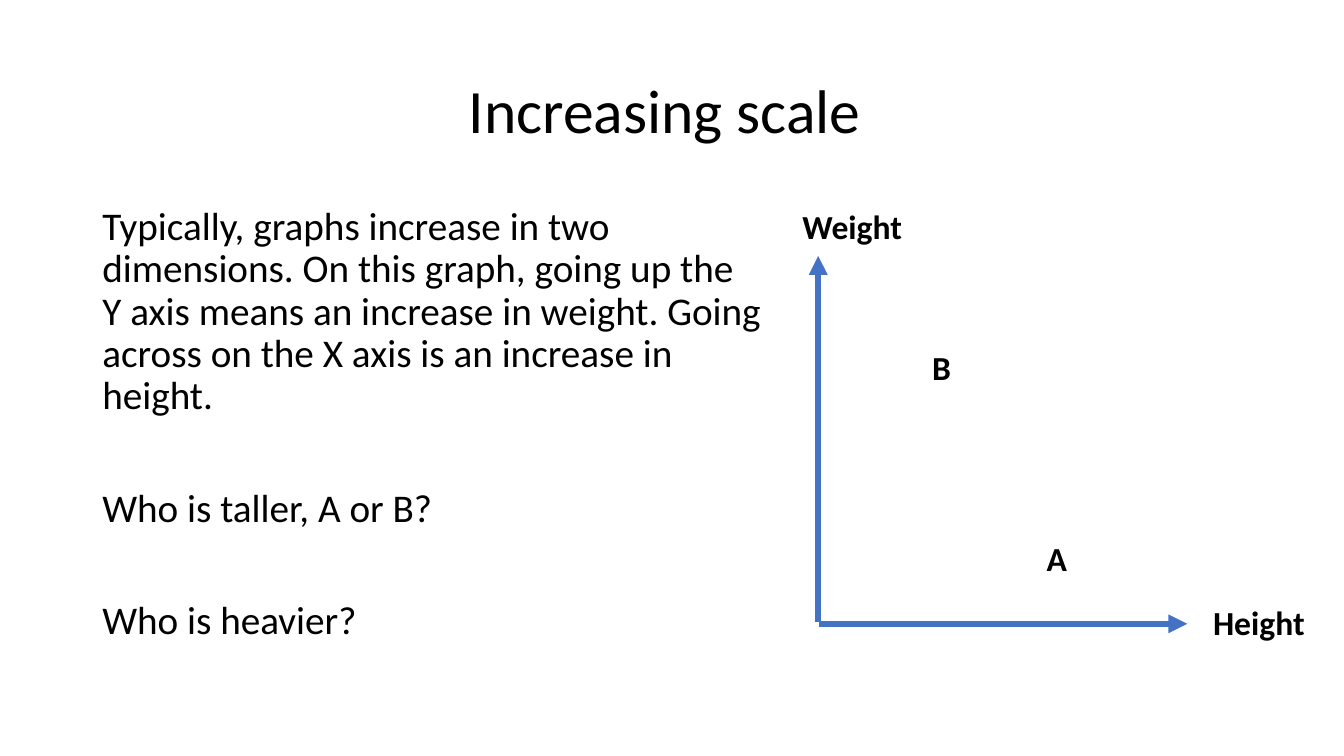
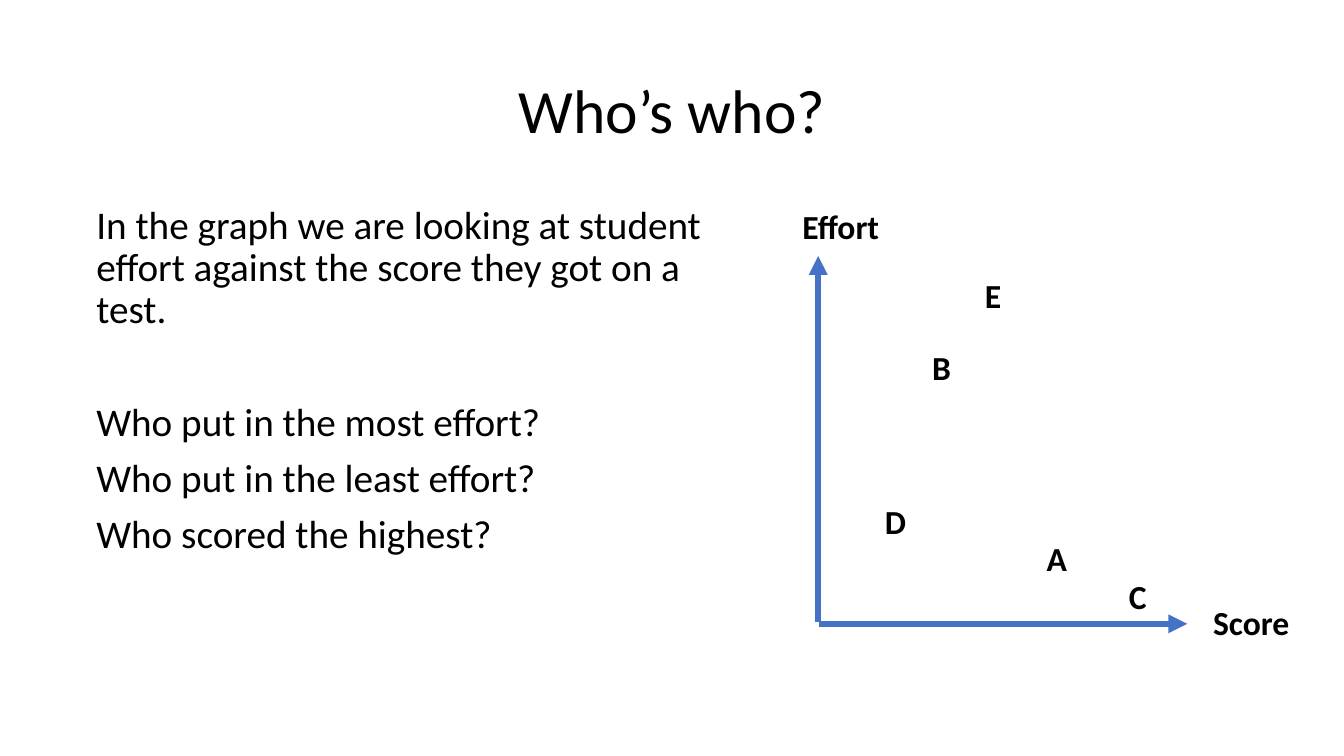
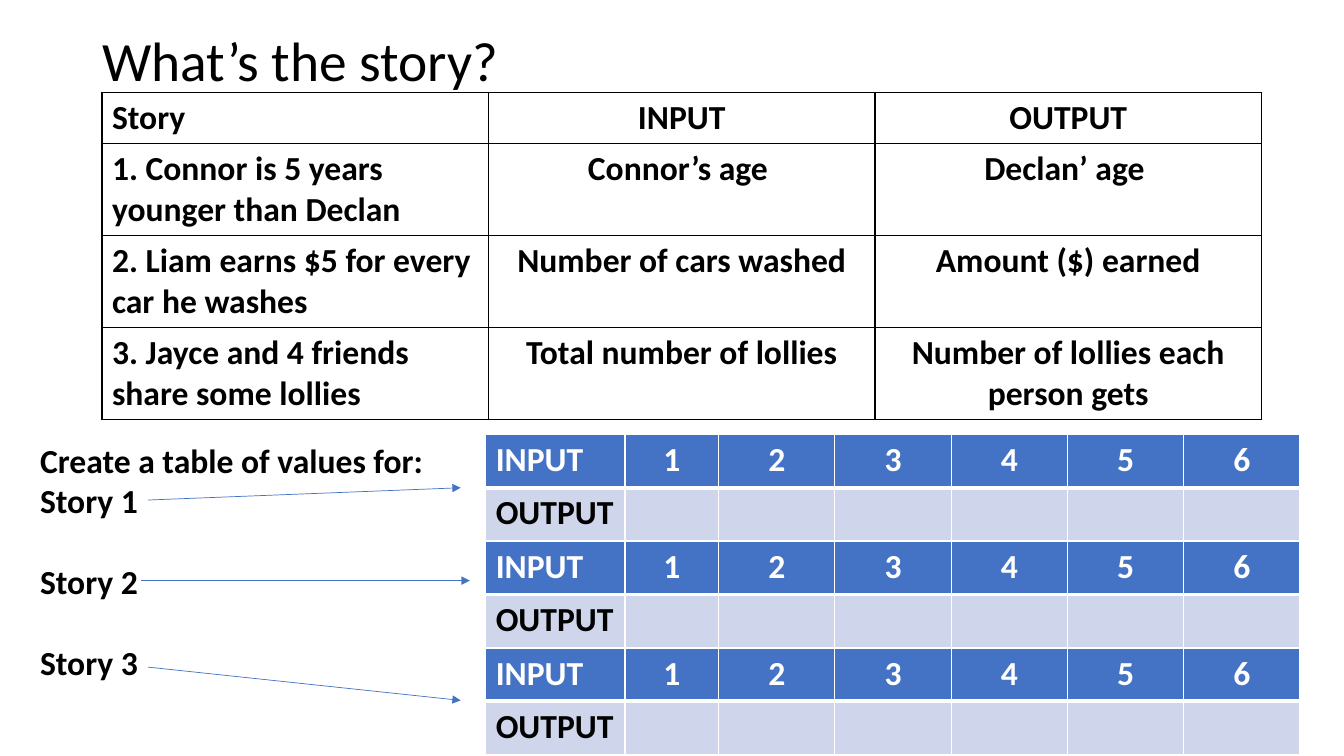
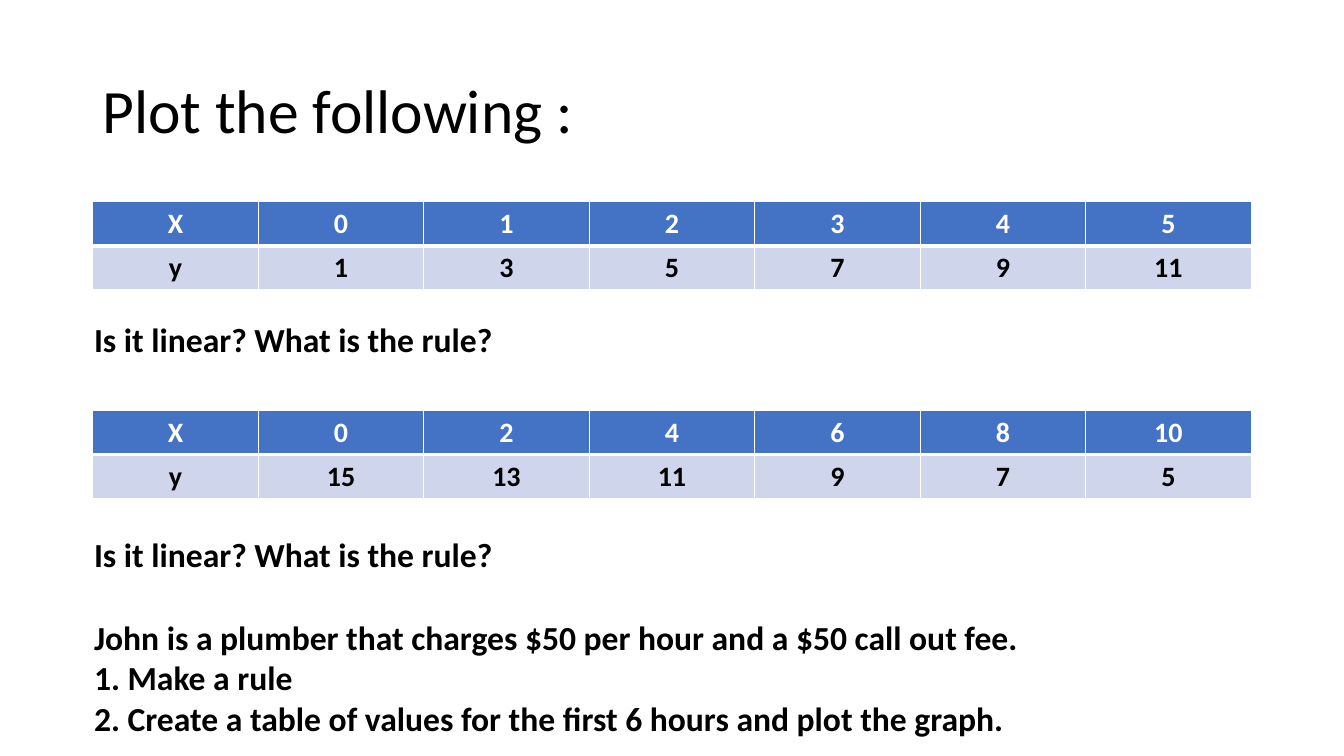
from dataclasses import dataclass
from typing import NamedTuple, Optional, Sequence, Union

from lxml import etree
from pptx import Presentation
from pptx import util as u
from pptx.dml.color import RGBColor
from pptx.enum import shapes, text
from pptx.oxml import ns

Cm, Pt = u.Cm, u.Pt
LEFT, CENTER = text.PP_ALIGN.LEFT, text.PP_ALIGN.CENTER


@dataclass(frozen=True)
class Theme:
    """Colours (RRGGBB) and type sizes (points) of the whole deck."""
    font: str = "Calibri"
    ink: str = "000000"
    white: str = "FFFFFF"
    accent: str = "4472C4"
    band: str = "CFD5EA"
    title: float = 44
    small_title: float = 39.6
    body: float = 28
    label: float = 24
    grid: float = 20
    tight: float = 0.9


THEME = Theme()


# Records for repeated elements; every length is in centimetres
class Box(NamedTuple):
    left: float
    top: float
    width: float
    height: float


class Line(NamedTuple):
    text: str
    before: float = 0


class Arrow(NamedTuple):
    x1: float
    y1: float
    x2: float
    y2: float


class Point(NamedTuple):
    name: str
    left: float
    top: float


class Border(NamedTuple):
    color: str
    width: float


@dataclass(frozen=True)
class GraphSlide:
    title: str
    body: Box
    lines: Sequence[Line]
    y_name: str
    x_name: str
    points: Sequence[Point]


# Text
def write(frame, lines: Sequence[Union[str, Line]], *, size: float = THEME.label,
          bold: bool = True, color: str = THEME.ink, align=LEFT,
          spacing: Optional[float] = None) -> None:
    for index, line in enumerate(lines):
        line = Line(line) if isinstance(line, str) else line
        paragraph = frame.add_paragraph() if index else frame.paragraphs[0]
        paragraph.alignment = align
        if spacing:
            paragraph.line_spacing = spacing
        if line.before:
            paragraph.space_before = Pt(line.before)
        run = paragraph.add_run()
        run.text = line.text
        run.font.name = THEME.font
        run.font.size = Pt(size)
        run.font.bold = bold
        run.font.color.rgb = RGBColor.from_string(color)


def add_text(slide, box: Box, lines: Sequence[Union[str, Line]],
             anchor=text.MSO_ANCHOR.TOP, **style) -> None:
    frame = slide.shapes.add_textbox(*map(Cm, box)).text_frame
    frame.word_wrap = True
    frame.vertical_anchor = anchor
    write(frame, lines, **style)


def add_titled_slide(presentation, title: str, *, height: float = 3.68,
                     size: float = THEME.title, align=LEFT):
    slide = presentation.slides.add_slide(presentation.slide_layouts[6])
    add_text(slide, Box(2.33, 1.02, 29.21, height), [title],
             anchor=text.MSO_ANCHOR.MIDDLE, size=size, bold=False,
             align=align, spacing=THEME.tight)
    return slide


# Arrows
def add_arrow(slide, arrow: Arrow, width: float) -> None:
    connector = slide.shapes.add_connector(
        shapes.MSO_CONNECTOR.STRAIGHT, *map(Cm, arrow))
    connector.line.color.rgb = RGBColor.from_string(THEME.accent)
    connector.line.width = Pt(width)
    line = connector.line._get_or_add_ln()
    etree.SubElement(line, ns.qn("a:tailEnd"), type="triangle")
    etree.SubElement(connector._element.spPr, ns.qn("a:effectLst"))


# Tables
def set_borders(cell, **sides: Border) -> None:
    properties = cell._tc.get_or_add_tcPr()
    for position, side in enumerate("LRTB"):
        border = sides[side]
        line = etree.Element(ns.qn(f"a:ln{side}"), w=str(Pt(border.width)))
        fill = etree.SubElement(line, ns.qn("a:solidFill"))
        etree.SubElement(fill, ns.qn("a:srgbClr"), val=border.color)
        properties.insert(position, line)


def add_table(slide, left: float, top: float, widths: Sequence[float],
              heights: Sequence[float], rows: Sequence[Sequence[str]], *,
              size: float = THEME.label, first_align=LEFT,
              filled: bool = True) -> None:
    table = slide.shapes.add_table(
        len(rows), len(widths), Cm(left), Cm(top),
        Cm(sum(widths)), Cm(sum(heights))).table
    table.first_row = table.horz_banding = False
    for column, width in zip(table.columns, widths):
        column.width = Cm(width)
    thin = Border(THEME.white if filled else THEME.ink, 1)
    thick = Border(THEME.white, 3) if filled else thin
    for row_index, values in enumerate(rows):
        table.rows[row_index].height = Cm(heights[row_index])
        header = filled and row_index == 0
        for column_index, value in enumerate(values):
            cell = table.cell(row_index, column_index)
            if filled:
                cell.fill.solid()
                cell.fill.fore_color.rgb = RGBColor.from_string(
                    THEME.accent if header else THEME.band)
            else:
                cell.fill.background()
            set_borders(cell, L=thin, R=thin, T=thick if row_index else thin,
                        B=thick if header else thin)
            if value:
                write(cell.text_frame, [value], size=size,
                      color=THEME.white if header else THEME.ink,
                      align=CENTER if column_index else first_align)


# Slides 1 and 2: text beside a graph
POINT_A, POINT_B = Point("A", 26.13, 13.43), Point("B", 23.24, 8.61)
AXES = (Arrow(20.62, 15.67, 20.62, 6.45), Arrow(20.65, 15.72, 29.92, 15.72))
GRAPHS = (
    GraphSlide(
        "Increasing scale ", Box(2.33, 5.08, 17.1, 12.1),
        [Line("Typically, graphs increase in two dimensions. On this graph, "
              "going up the Y axis means an increase in weight. Going across "
              "on the X axis is an increase in height."),
         Line("Who is taller, A or B?", 50), Line("Who is heavier?", 50)],
        "Weight", "Height", [POINT_A, POINT_B]),
    GraphSlide(
        "Who’s who?", Box(2.18, 5.05, 16.35, 12.1),
        [Line("In the graph we are looking at student effort against the "
              "score they got on a test."),
         Line("Who put in the most effort?", 50),
         Line("Who put in the least effort?", 10),
         Line("Who scored the highest?", 10)],
        "Effort", "Score",
        [POINT_A, POINT_B, Point("C", 28.2, 14.4), Point("D", 22.05, 12.5),
         Point("E", 24.57, 6.8)]),
)


def add_graph_slide(presentation, graph: GraphSlide) -> None:
    slide = add_titled_slide(presentation, graph.title, align=CENTER)
    add_text(slide, graph.body, graph.lines, size=THEME.body, bold=False,
             spacing=THEME.tight)
    for axis in AXES:
        add_arrow(slide, axis, 4.5)
    add_text(slide, Box(19.97, 5.06, 3.53, 1.27), [graph.y_name])
    add_text(slide, Box(30.32, 15.05, 3.53, 1.27), [graph.x_name])
    for point in graph.points:
        add_text(slide, Box(point.left, point.top, 1.65, 1.27), [point.name])


# Slide 3: stories and empty value tables
STORIES = (
    ("Story", "INPUT", "OUTPUT"),
    ("1. Connor is 5 years younger than Declan", "Connor’s age ", "Declan’ age "),
    ("2. Liam earns $5 for every car he washes", "Number of cars washed",
     "Amount ($) earned"),
    ("3. Jayce and 4 friends share some lollies", "Total number of lollies",
     "Number of lollies each person gets"),
)
STORY_ARROWS = (Arrow(3.73, 12.6, 11.61, 12.29), Arrow(3.56, 14.63, 11.84, 14.63),
                Arrow(3.73, 16.81, 11.61, 17.65))


def add_story_slide(presentation) -> None:
    slide = add_titled_slide(presentation, "What’s the story?", height=1.17,
                             size=THEME.small_title)
    add_table(slide, 2.57, 2.34, [9.74] * 3, [1.28] + [2.32] * 3, STORIES,
              filled=False)
    add_text(slide, Box(0.76, 10.95, 20.25, 6.4),
             ["Create a table of values for:", "Story 1",
              Line("Story 2", 29), Line("Story 3", 29)])
    rows = (["INPUT", *map(str, range(1, 7))], ["OUTPUT"] + [""] * 6)
    for index, arrow in enumerate(STORY_ARROWS):
        add_table(slide, 12.24, 10.95 + index * 2.69,
                  [3.51, 2.36] + [2.93] * 5, [1.34] * 2, rows)
        add_arrow(slide, arrow, 0.5)


# Slide 4: value tables to plot
PLOTS = (
    (5.08, 7.9, range(0, 6), range(1, 12, 2)),
    (10.34, 13.34, range(0, 11, 2), range(15, 4, -2)),
)


def add_plot_slide(presentation) -> None:
    slide = add_titled_slide(presentation, "Plot the following :")
    for table_top, question_top, x_values, y_values in PLOTS:
        rows = (["X", *map(str, x_values)], ["y", *map(str, y_values)])
        add_table(slide, 2.34, table_top, [4.17] * 7, [1.11] * 2, rows,
                  size=THEME.grid, first_align=CENTER)
        add_text(slide, Box(2.12, question_top, 11.07, 1.27),
                 ["Is it linear? What is the rule?"])
    add_text(slide, Box(2.12, 15.42, 28.55, 3.33),
             ["John is a plumber that charges $50 per hour and a $50 call out fee.",
              "1. Make a rule",
              "2. Create a table of values for the first 6 hours and plot the graph."])


def main() -> None:
    presentation = Presentation()
    presentation.slide_width, presentation.slide_height = Cm(33.87), Cm(19.05)
    for graph in GRAPHS:
        add_graph_slide(presentation, graph)
    add_story_slide(presentation)
    add_plot_slide(presentation)
    presentation.save("out.pptx")


if __name__ == "__main__":
    main()
